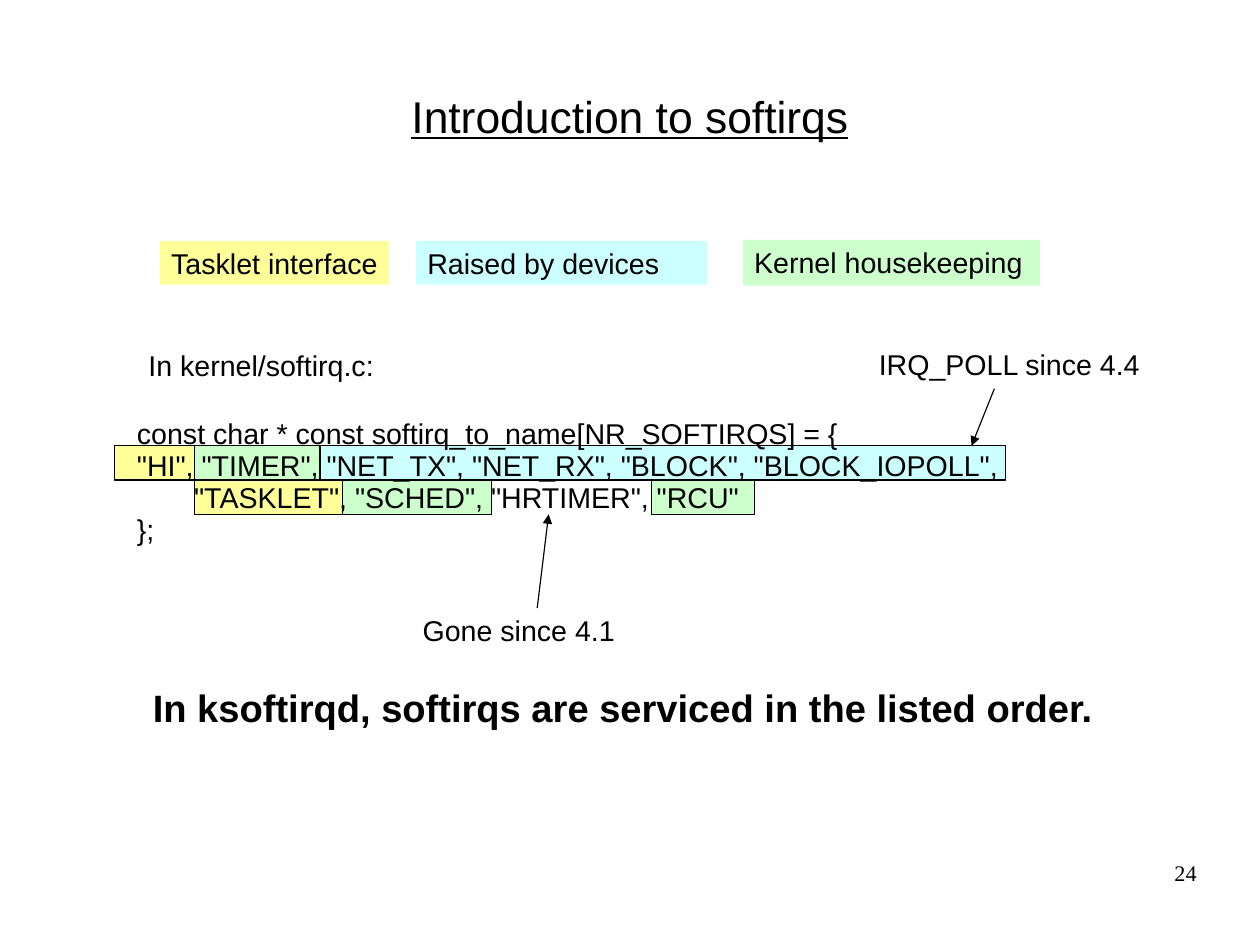
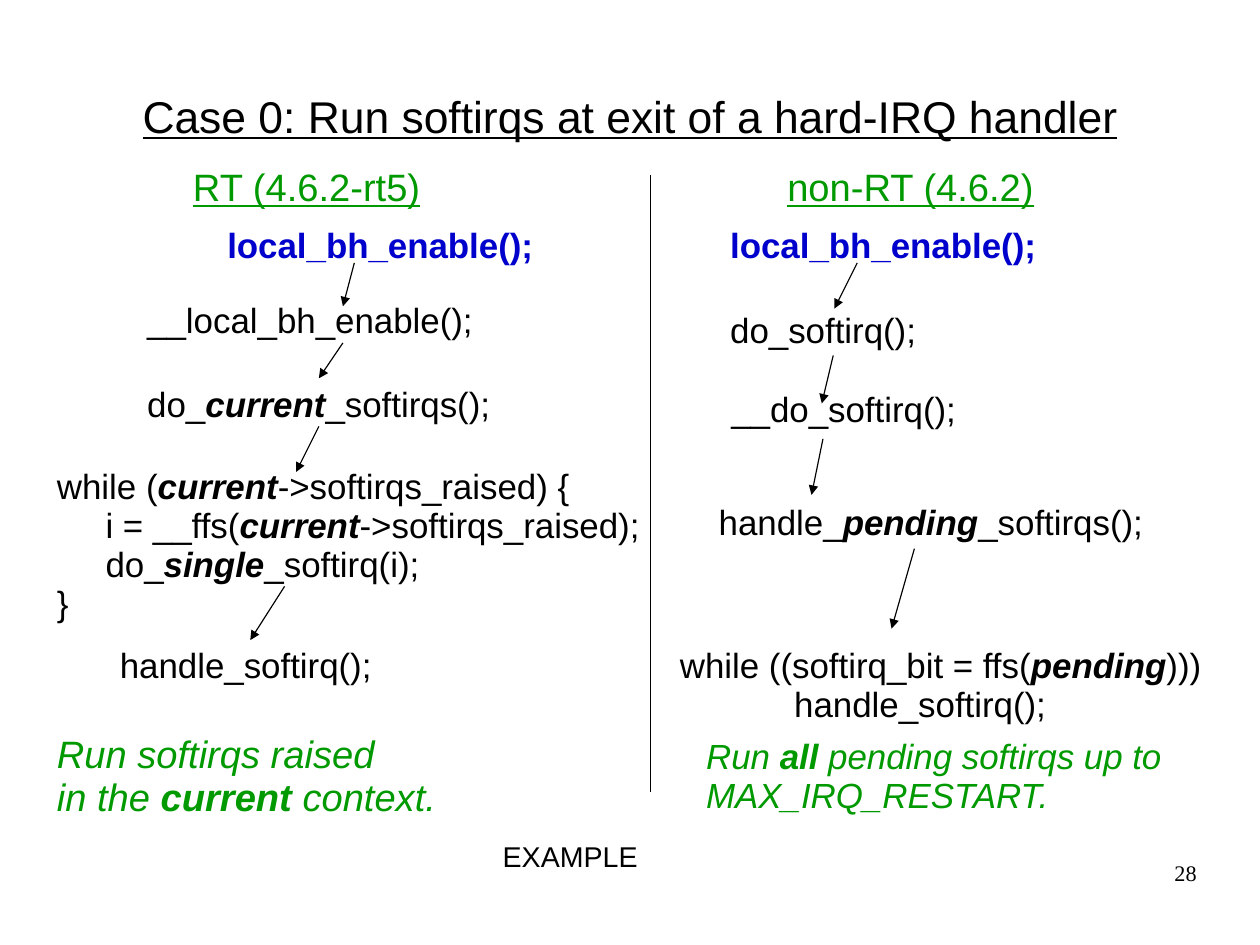
from lxml import etree
from pptx import Presentation, util as u
from pptx.dml.color import RGBColor
from pptx.enum import shapes, text
from pptx.oxml.ns import qn

C = {"black": "000000", "green": "009900", "blue": "0000CC",
     "tasklet": "FFFF99", "device": "CCFFFF", "kernel": "CCFFCC"}
LEFT, CENTER, RIGHT = text.PP_ALIGN.LEFT, text.PP_ALIGN.CENTER, text.PP_ALIGN.RIGHT


def write(sp, txt, size=18, color="black", font="Arial", bold=False, italic=False,
          underline=False, align=LEFT, indents=(), wrap=True,
          ins=(7.2, 4.8, 7.2, 3.6), anchor=text.MSO_ANCHOR.TOP):
    tf = sp.text_frame
    tf.word_wrap = wrap
    tf.auto_size = text.MSO_AUTO_SIZE.NONE
    tf.vertical_anchor = anchor
    tf.margin_left, tf.margin_top, tf.margin_right, tf.margin_bottom = map(u.Pt, ins)
    for i, line in enumerate(txt.split("\n")):
        p = tf.paragraphs[0] if i == 0 else tf.add_paragraph()
        p.alignment = align
        p.line_spacing = 0.93
        p.space_before = u.Pt(0)
        if i < len(indents):
            p._p.get_or_add_pPr().set("marL", str(u.Pt(indents[i])))
        for j, part in enumerate(line.split("|")):
            r = p.add_run()
            r.text = part
            r.font.name, r.font.size = font, u.Pt(size)
            r.font.bold = bold or j % 2 == 1
            r.font.italic = italic or j % 2 == 1
            r.font.underline = underline
            r.font.color.rgb = RGBColor.from_string(C[color])


def line(s, x1, y1, x2, y2, arrow=True):
    sp = s.shapes.add_connector(shapes.MSO_CONNECTOR.STRAIGHT,
                                u.Pt(x1), u.Pt(y1), u.Pt(x2), u.Pt(y2))
    sp.line.color.rgb = RGBColor.from_string(C["black"])
    sp.line.width = u.Pt(0.75)
    if arrow:
        etree.SubElement(sp.line._get_or_add_ln(), qn("a:tailEnd"), type="triangle")
    etree.SubElement(sp._element.spPr, qn("a:effectLst"))


prs = Presentation()
prs.slide_width, prs.slide_height = u.Pt(793.7), u.Pt(595.28)

slides = []
for title, number in [("Introduction to softirqs", "24"),
                      ("Case 0: Run softirqs at exit of a hard-IRQ handler", "28")]:
    s = prs.slides.add_slide(prs.slide_layouts[5])
    sp = s.shapes.title
    sp.left, sp.top, sp.width, sp.height = map(u.Pt, (39.6, 23.76, 714.24, 99.36))
    write(sp, title, size=28, underline=True, align=CENTER,
          ins=(0, 2.16, 0, 0), anchor=text.MSO_ANCHOR.MIDDLE)
    sp = s.shapes.add_textbox(*map(u.Pt, (568.8, 542.8, 185.04, 41.04)))
    write(sp, number, size=14, font="Times New Roman", align=RIGHT, ins=(0, 0, 0, 0))
    slides.append(s)
intro, case = slides

row_h = 21.6
first_row = 280.8
blocks = [(72, 0, 50.4, "tasklet"), (122.4, 1, 93.6, "tasklet"),
          (201.6, 0, 432, "device"), (216, 1, 93.6, "kernel"),
          (122.4, 0, 79.2, "kernel"), (410.4, 1, 64.8, "kernel")]
legend = [(100.8, 151.92, 144, 27.36, "tasklet", "Tasklet interface"),
          (262.08, 151.92, 183.6, 27.36, "device", "Raised by devices"),
          (468, 151.2, 187.2, 28.8, "kernel", "Kernel housekeeping")]
boxes = [(x, first_row + row * row_h, w, row_h, fill, "") for x, row, w, fill in blocks]
for x, y, w, h, fill, label in boxes + legend:
    sp = intro.shapes.add_shape(shapes.MSO_SHAPE.RECTANGLE, *map(u.Pt, (x, y, w, h)))
    sp.shadow.inherit = False
    sp.fill.solid()
    sp.fill.fore_color.rgb = RGBColor.from_string(C[fill])
    if label:
        sp.line.fill.background()
        write(sp, label, wrap=False)
    else:
        sp.line.color.rgb = RGBColor.from_string(C["black"])
        sp.line.width = u.Pt(0.75)

code = """const char * const softirq_to_name[NR_SOFTIRQS] = {
"HI", "TIMER", "NET_TX", "NET_RX", "BLOCK", "BLOCK_IOPOLL",
"TASKLET", "SCHED", "HRTIMER", "RCU"
};"""
loop = """while (|current|->softirqs_raised) {
i = __ffs(|current|->softirqs_raised);
do_|single|_softirq(i);
}"""
call = dict(size=22)
start = dict(size=22, color="blue", bold=True)
head = dict(size=24, color="green", underline=True)
texts = [
    (intro, 86.4, 216, 302.4, 27.36, "In kernel/softirq.c:", {}),
    (intro, 79.2, 259.2, 592.56, 87.84, code, dict(indents=(0, 0, 36))),
    (intro, 28.8, 429.12, 727.2, 33.84,
     "In ksoftirqd, softirqs are serviced in the listed order.",
     dict(size=24, bold=True, align=CENTER)),
    (intro, 546.48, 216, 180.72, 28.8, "IRQ_POLL since 4.4", dict(wrap=False)),
    (intro, 259.2, 383.04, 151.2, 27.36, "Gone since 4.1", {}),
    (case, 114.48, 100.8, 270.72, 33.84, "RT (4.6.2-rt5)", head),
    (case, 136.08, 138.24, 223.2, 34.56, "local_bh_enable();", start),
    (case, 85.68, 185.76, 244.8, 44.64, "__local_bh_enable();", call),
    (case, 85.68, 238.32, 266.4, 38.88, "do_|current|_softirqs();", call),
    (case, 28.8, 290.16, 410.4, 115.2, loop, dict(size=22, indents=(0, 30.6, 30.6))),
    (case, 68.4, 403.2, 223.2, 31.68, "handle_softirq();", call),
    (case, 28.8, 457.92, 347.76, 60.48,
     "Run softirqs raised\nin the |current |context.",
     dict(size=24, color="green", italic=True)),
    (case, 488.88, 100.8, 187.2, 33.84, "non-RT (4.6.2)", head),
    (case, 452.88, 138.24, 223.2, 34.56, "local_bh_enable();", start),
    (case, 452.88, 192.24, 151.2, 31.68, "do_softirq();", call),
    (case, 453.6, 241.92, 156.24, 31.68, "__do_softirq();", call),
    (case, 445.68, 313.2, 309.6, 37.44, "handle_|pending|_softirqs();", call),
    (case, 421.2, 403.2, 356.4, 64.08,
     "while ((softirq_bit = ffs(|pending|)))\nhandle_softirq();",
     dict(size=22, indents=(0, 72))),
    (case, 437.76, 460.08, 310.32, 56.16,
     "Run |all| pending softirqs up to MAX_IRQ_RESTART.",
     dict(size=22, color="green", italic=True)),
    (case, 309.6, 525.6, 158.4, 27.36, "EXAMPLE", {}),
]
for s, x, y, w, h, txt, fmt in texts:
    write(s.shapes.add_textbox(*map(u.Pt, (x, y, w, h))), txt, **fmt)

arrows = [
    (intro, 626.4, 244.8, 612, 280.8), (intro, 338.4, 383.04, 345.6, 324),
    (case, 223.2, 165.6, 216, 192.96), (case, 216, 216, 200.88, 238.32),
    (case, 200.88, 268.56, 186.48, 297.36), (case, 179.28, 369.36, 157.68, 403.2),
    (case, 540, 165.6, 525.6, 194.4), (case, 524.88, 223.92, 517.68, 254.16),
    (case, 518.4, 276.48, 511.2, 311.76), (case, 576, 345.6, 561.6, 396),
]
for arrow in arrows:
    line(*arrow)
line(case, 409.68, 110.16, 409.68, 498.96, arrow=False)

prs.save("out.pptx")
